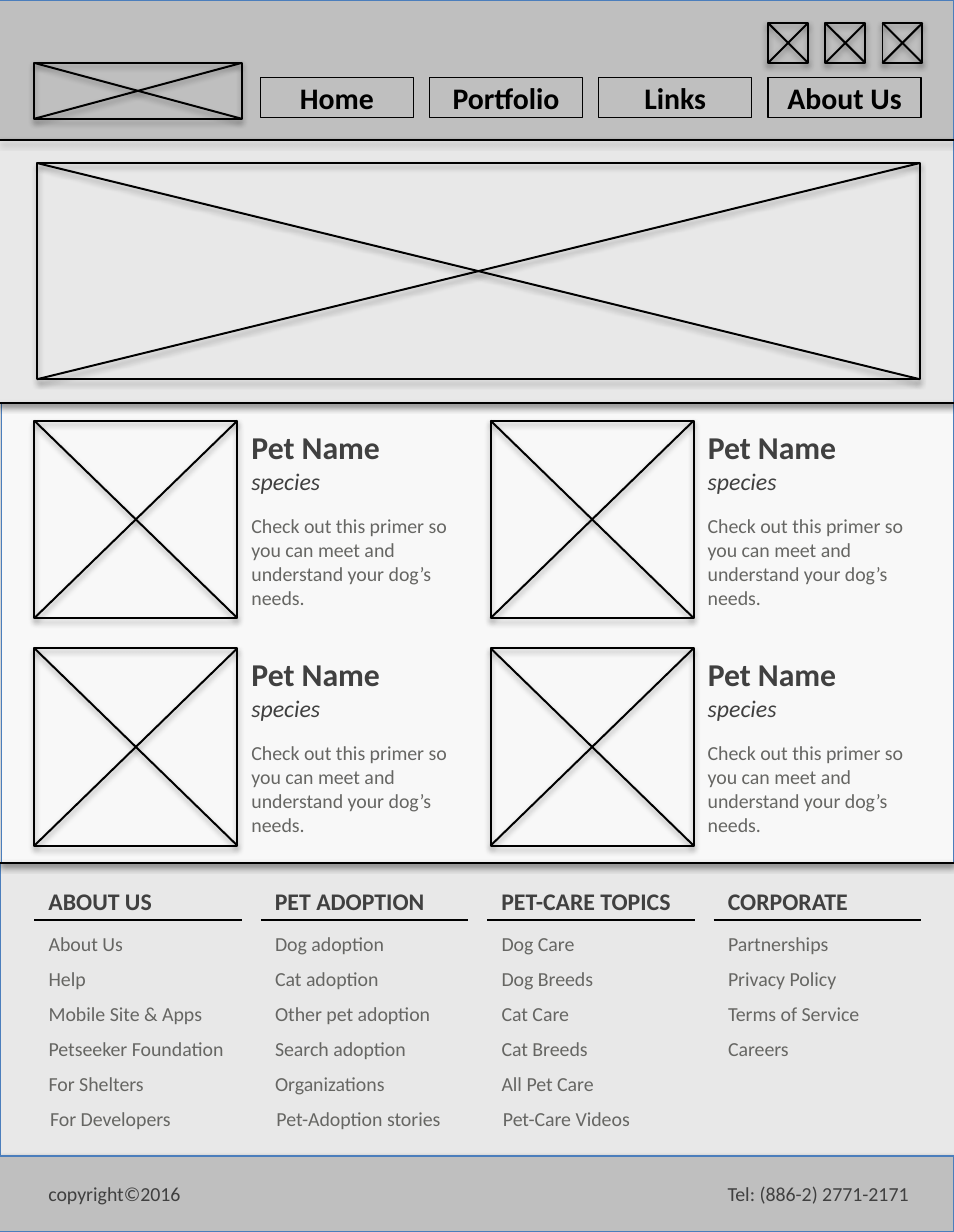
from dataclasses import dataclass

from lxml.etree import SubElement
from pptx import Presentation
from pptx.dml.color import RGBColor
from pptx.enum.shapes import MSO_CONNECTOR as Connector, MSO_SHAPE as Preset
from pptx.enum.text import MSO_ANCHOR as Anchor, MSO_AUTO_SIZE as AutoSize, PP_ALIGN as Align
from pptx.oxml.ns import qn
from pptx.util import Inches, Pt

COLORS = {"bar": "BFBFBF", "panel": "E8E8E8", "content": "F8F8F8", "edge": "4B7EBC",
          "black": "000000", "heading": "404040", "body": "666663"}

# Text formats: font attributes plus a colour key
FORMATS = {
    "nav": ({"size": Pt(15), "bold": True}, "black"),
    "name": ({"size": Pt(16), "bold": True}, "heading"),
    "species": ({"size": Pt(12), "italic": True}, "heading"),
    "summary": ({"size": Pt(10)}, "body"),
    "heading": ({"size": Pt(12), "bold": True}, "heading"),
    "link": ({"size": Pt(10), "bold": False}, "body"),
    "footer": ({"size": Pt(10)}, "heading"),
}


@dataclass(frozen=True)
class Box:
    left: float
    top: float
    width: float
    height: float

    def lengths(self) -> list:
        return [Inches(value) for value in (self.left, self.top, self.width, self.height)]


@dataclass(frozen=True)
class LinkColumn:
    heading: str
    links: tuple


BANDS = [
    (Box(-0.01, 0, 6.68, 0.98), "bar"),
    (Box(0, 6.03, 6.68, 2.05), "panel"),
    (Box(0.01, 2.82, 6.66, 3.21), "content"),
    (Box(-0.01, 0.98, 6.68, 1.84), "panel"),
]
COPYRIGHT_BAND = Box(-0.01, 8.08, 6.68, 0.53)
HERO = Box(0.26, 1.14, 6.17, 1.51)
LOGO = Box(0.24, 0.44, 1.45, 0.39)
NAV_LABELS = ["Home", "Portfolio", "Links", "About Us"]
LINK_COLUMNS = [
    LinkColumn("ABOUT US", ("About Us", "Help", "Mobile Site & Apps",
                            "Petseeker Foundation", "For Shelters", "For Developers")),
    LinkColumn("PET ADOPTION", ("Dog adoption", "Cat adoption", "Other pet adoption",
                                "Search adoption", "Organizations", "Pet-Adoption stories")),
    LinkColumn("PET-CARE TOPICS", ("Dog Care", "Dog Breeds", "Cat Care", "Cat Breeds",
                                   "All Pet Care", "Pet-Care Videos")),
    LinkColumn("CORPORATE", ("Partnerships", "Privacy Policy", "Terms of Service", "Careers")),
]


def spread(first: float, last: float, count: int) -> list:
    """Evenly spaced positions from first to last."""
    return [first + (last - first) * index / (count - 1) for index in range(count)]


def color(key: str) -> RGBColor:
    return RGBColor.from_string(COLORS[key])


def set_shadow(shape, alpha: int = 0, distance: float = 0) -> None:
    """Give a soft shadow straight below, or none when alpha is zero."""
    effects = SubElement(shape._element.spPr, qn("a:effectLst"))
    if alpha:
        shadow = SubElement(effects, qn("a:outerShdw"), blurRad=str(Pt(3.1)),
                            dist=str(Pt(distance)), dir="5400000", rotWithShape="0")
        shade = SubElement(shadow, qn("a:srgbClr"), val=COLORS["black"])
        SubElement(shade, qn("a:alpha"), val=str(alpha * 1000))


def add_rectangle(shapes, box: Box, fill: str = "", edge: str = "black",
                  weight: float = 1, shadowed: bool = True):
    shape = shapes.add_shape(Preset.RECTANGLE, *box.lengths())
    if fill:
        shape.fill.solid()
        shape.fill.fore_color.rgb = color(fill)
    else:
        shape.fill.background()
    shape.line.color.rgb, shape.line.width = color(edge), Pt(weight)
    set_shadow(shape, 35 if shadowed else 0, 1.8)
    return shape


def add_line(shapes, start: tuple, end: tuple, shadowed: bool = True) -> None:
    points = [Inches(value) for value in (*start, *end)]
    line = shapes.add_connector(Connector.STRAIGHT, *points)
    line.line.color.rgb, line.line.width = color("black"), Pt(1)
    set_shadow(line, 38 if shadowed else 0, 1.6)


def add_crossed_box(shapes, box: Box) -> None:
    right, bottom = box.left + box.width, box.top + box.height
    add_line(shapes, (box.left, box.top), (right, bottom))
    add_rectangle(shapes, box)
    add_line(shapes, (right, box.top), (box.left, bottom))


def write(paragraph, text: str, style: str, align=Align.LEFT) -> None:
    run = paragraph.add_run()
    run.text = text
    values, color_key = FORMATS[style]
    for attribute, value in {"name": "Calibri", **values}.items():
        setattr(run.font, attribute, value)
    run.font.color.rgb = color(color_key)
    paragraph.alignment = align


def add_text(shapes, box: Box, text: str, style: str, align=Align.LEFT, anchor=Anchor.TOP) -> None:
    frame = shapes.add_textbox(*box.lengths()).text_frame
    frame.word_wrap, frame.vertical_anchor = True, anchor
    write(frame.paragraphs[0], text, style, align)


def add_pet_card(slide, left: float, top: float) -> None:
    shapes = slide.shapes.add_group_shape().shapes
    add_crossed_box(shapes, Box(left, top, 1.42, 1.38))
    text_left = left + 1.42
    add_text(shapes, Box(text_left, top, 1.41, 0.37), "Pet Name", "name")
    add_text(shapes, Box(text_left, top + 0.27, 1.57, 0.3), "species", "species")
    add_text(shapes, Box(text_left, top + 0.6, 1.57, 0.77),
             "Check out this primer so you can meet and understand your dog’s needs.", "summary")


def fill_link_list(placeholder, box: Box, links: tuple) -> None:
    for attribute, value in zip(("left", "top", "width", "height"), box.lengths()):
        setattr(placeholder, attribute, value)
    frame = placeholder.text_frame
    settings = {"auto_size": AutoSize.NONE, "word_wrap": True, "vertical_anchor": Anchor.TOP,
                "margin_top": 0, "margin_bottom": 0}
    for attribute, value in settings.items():
        setattr(frame, attribute, value)
    for index, link in enumerate(links):
        paragraph = frame.paragraphs[0] if index == 0 else frame.add_paragraph()
        write(paragraph, link, "link")
        paragraph.space_before, paragraph.space_after = Pt(0), Pt(5.55)
        properties = paragraph._p.get_or_add_pPr()
        # The sixth link is set in slightly
        properties.set("marL", str(Inches(0.01 if index == 5 else 0)))
        properties.set("indent", "0")
        SubElement(properties, qn("a:buNone"))


presentation = Presentation()
presentation.slide_width, presentation.slide_height = Inches(6.67), Inches(8.61)
slide = presentation.slides.add_slide(presentation.slide_layouts.get_by_name("Comparison"))
title, *link_lists = list(slide.placeholders)
title._element.getparent().remove(title._element)

# Page bands and the rules between them
for band, fill in BANDS:
    add_rectangle(slide.shapes, band, fill, "edge", 0.75)
for height in (0.98, 2.82, 6.03, 8.08):
    add_line(slide.shapes, (0, height), (6.67, height))
add_rectangle(slide.shapes, COPYRIGHT_BAND, "bar", "edge", 0.75)

# Header: logo, icons, hero and navigation
icons = [Box(left, 0.16, 0.28, 0.28) for left in spread(5.37, 6.17, 3)]
for box in (HERO, LOGO, *icons):
    add_crossed_box(slide.shapes.add_group_shape().shapes, box)
for left, label in zip(spread(1.82, 5.37, 4), NAV_LABELS):
    button = add_rectangle(slide.shapes, Box(left, 0.54, 1.07, 0.28), weight=0.75, shadowed=False)
    button.text_frame.vertical_anchor = Anchor.MIDDLE
    write(button.text_frame.paragraphs[0], label, "nav", Align.CENTER)

# Pet cards
for card_top in (2.94, 4.53):
    for card_left in (0.24, 3.43):
        add_pet_card(slide, card_left, card_top)

# Link columns
for left, column, link_list in zip(spread(0.24, 4.99, 4), LINK_COLUMNS, link_lists):
    add_text(slide.shapes, Box(left, 6.21, 1.45, 0.17), column.heading, "heading",
             anchor=Anchor.MIDDLE)
    add_line(slide.shapes, (left, 6.43), (left + 1.45, 6.43), shadowed=False)
    fill_link_list(link_list, Box(left, 6.51, 1.45, 1.48), column.links)
    slide.shapes._spTree.append(link_list._element)  # bring above the bands

# Copyright line
add_text(slide.shapes, Box(0.24, 8.21, 1.14, 0.27), "copyright©2016", "footer")
add_text(slide.shapes, Box(4.87, 8.21, 1.58, 0.27), "Tel: (886-2) 2771-2171", "footer", Align.RIGHT)

presentation.save("out.pptx")
